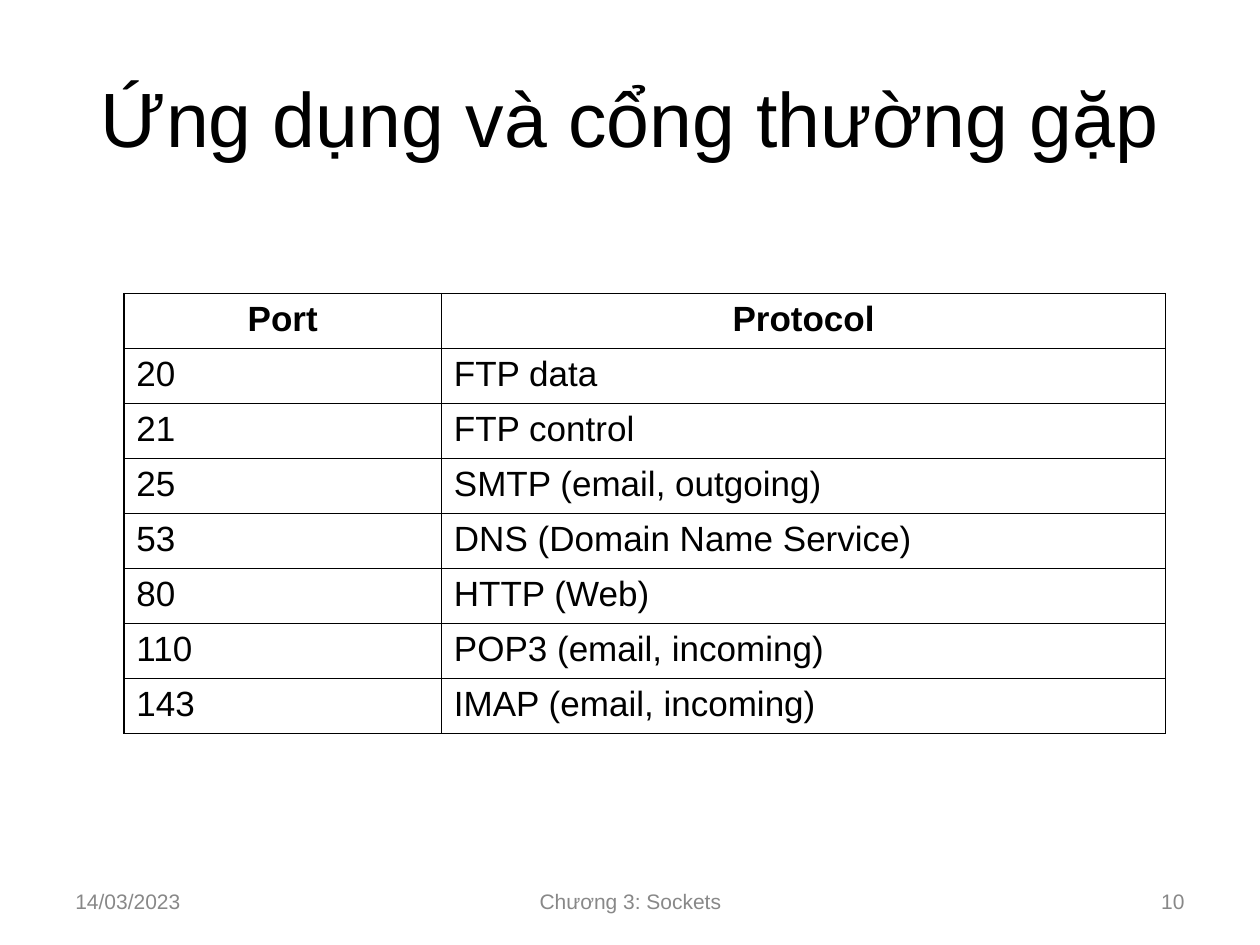
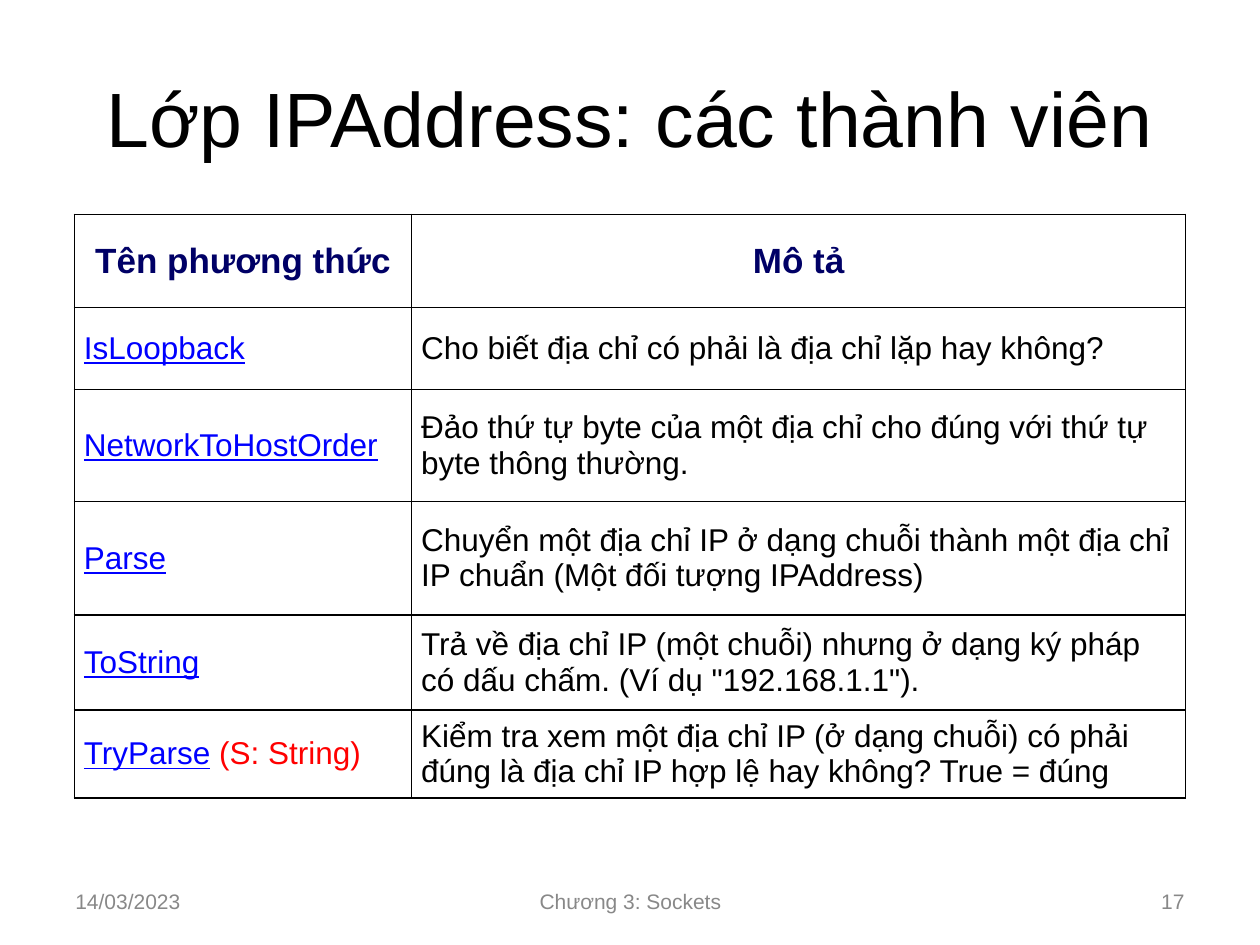
"""Builds two table slides about network ports and the IPAddress class."""
import lxml.etree
import pptx
import pptx.dml.color
import pptx.enum.text
import pptx.oxml.ns
import pptx.util

Cm = pptx.util.Cm
Pt = pptx.util.Pt
ALIGN = pptx.enum.text.PP_ALIGN
MIDDLE = pptx.enum.text.MSO_ANCHOR.MIDDLE
TOP = pptx.enum.text.MSO_ANCHOR.TOP

COLOURS = {"text": "000000", "border": "000000", "cell": "FFFFFF", "footer": "888888",
           "heading": "000066", "method": "0000FF", "argument": "FF0000"}

TITLE = {"size": Pt(44)}
FOOTER = {"size": Pt(12), "colour": "footer"}
PORT_HEADING = {"size": Pt(20), "bold": True}
PORT_BODY = {"size": Pt(20), "bold": False}
METHOD_HEADING = {"size": Pt(20), "bold": True, "colour": "heading"}
METHOD_BODY = {"size": Pt(18), "bold": False}
METHOD_NAME = METHOD_BODY | {"underline": True, "colour": "method"}
METHOD_ARGUMENT = METHOD_BODY | {"colour": "argument"}

BOX_FRAME = {"word_wrap": True, "vertical_anchor": MIDDLE, "margin_left": Cm(0.25),
             "margin_right": Cm(0.25), "margin_top": Cm(0.13), "margin_bottom": Cm(0.13)}
PORT_CELL = {"vertical_anchor": TOP, "margin_left": Cm(0.25), "margin_right": Cm(0.25),
             "margin_top": Cm(0.13), "margin_bottom": Cm(0.13)}
METHOD_CELL = {"vertical_anchor": MIDDLE, "margin_left": Cm(0.19), "margin_right": Cm(0.19),
               "margin_top": 0, "margin_bottom": 0}

PORTS = [("20", "FTP data"), ("21", "FTP control"), ("25", "SMTP (email, outgoing)"),
         ("53", "DNS (Domain Name Service)"), ("80", "HTTP (Web)"),
         ("110", "POP3 (email, incoming)"), ("143", "IMAP (email, incoming)")]

METHODS = [
    ("IsLoopback", "", "Cho biết địa chỉ có phải là địa chỉ lặp hay không?"),
    ("NetworkToHostOrder", "",
     "Đảo thứ tự byte của một địa chỉ cho đúng với thứ tự byte thông thường."),
    ("Parse", "",
     "Chuyển một địa chỉ IP ở dạng chuỗi thành một địa chỉ IP chuẩn (Một đối tượng IPAddress)"),
    ("ToString", "",
     'Trả về địa chỉ IP (một chuỗi) nhưng ở dạng ký pháp có dấu chấm. (Ví dụ "192.168.1.1").'),
    ("TryParse", " (S: String)",
     "Kiểm tra xem một địa chỉ IP (ở dạng chuỗi) có phải đúng là địa chỉ IP hợp lệ "
     "hay không? True = đúng"),
]


def apply_format(target, values):
    """Set every attribute named in values on target."""
    for name, value in values.items():
        setattr(target, name, value)


def write_spans(para, spans, align):
    """Fill a paragraph with (text, format) spans."""
    para.alignment = align
    for text, style in spans:
        span = para.add_run()
        span.text = text
        values = {"name": "Arial", "colour": "text"} | style
        colour = COLOURS[values.pop("colour")]
        apply_format(span.font, values)
        span.font.color.rgb = pptx.dml.color.RGBColor.from_string(colour)


def add_text(page, place, text, style, align):
    """Add a text box at place, given in centimetres."""
    box = page.shapes.add_textbox(*map(Cm, place))
    apply_format(box.text_frame, BOX_FRAME)
    write_spans(box.text_frame.paragraphs[0], [(text, style)], align)


def add_page(deck, title, number):
    """Add a blank page with the shared title and footer."""
    page = deck.slides.add_slide(deck.slide_layouts[6])
    add_text(page, (1.27, 0.76, 22.86, 3.18), title, TITLE, ALIGN.CENTER)
    footers = [(1.27, 5.92, "14/03/2023", ALIGN.LEFT),
               (8.69, 8.04, "Chương 3: Sockets", ALIGN.CENTER),
               (18.21, 5.92, number, ALIGN.RIGHT)]
    for left, width, text, align in footers:
        add_text(page, (left, 17.65, width, 1.02), text, FOOTER, align)
    return page


def draw_borders(cell):
    """Draw a thin solid line on all four sides of a cell."""
    qn = pptx.oxml.ns.qn
    properties = cell._tc.get_or_add_tcPr()
    for side in "LRTB":
        line = lxml.etree.SubElement(properties, qn(f"a:ln{side}"), w=str(Pt(1)))
        fill = lxml.etree.SubElement(line, qn("a:solidFill"))
        lxml.etree.SubElement(fill, qn("a:srgbClr"), val=COLOURS["border"])


def add_grid(page, corner, widths, heights, rows, cell_format):
    """Add a bordered table whose first row is a centred heading."""
    left, top = map(Cm, corner)
    table = page.shapes.add_table(len(rows), len(widths), left, top,
                                  Cm(sum(widths)), Cm(sum(heights))).table
    table.horz_banding = False
    for column, width in zip(table.columns, widths):
        column.width = Cm(width)
    for index, (row, height, contents) in enumerate(zip(table.rows, heights, rows)):
        row.height = Cm(height)
        for cell, spans in zip(row.cells, contents):
            apply_format(cell, cell_format)
            draw_borders(cell)
            cell.fill.solid()
            cell.fill.fore_color.rgb = pptx.dml.color.RGBColor.from_string(COLOURS["cell"])
            align = ALIGN.LEFT if index else ALIGN.CENTER
            write_spans(cell.text_frame.paragraphs[0], spans, align)


def style_row(texts, style):
    """Give each text of a row one span in the same style."""
    return [[(text, style)] for text in texts]


def method_row(name, argument, description):
    """Return the spans of a method's name cell and description cell."""
    name_spans = [(name, METHOD_NAME)]
    if argument:
        name_spans.append((argument, METHOD_ARGUMENT))
    return [name_spans, [(description, METHOD_BODY)]]


def main():
    """Build and save the deck."""
    deck = pptx.Presentation()
    apply_format(deck, {"slide_width": Cm(25.4), "slide_height": Cm(19.05)})

    page = add_page(deck, "Ứng dụng và cổng thường gặp", "10")
    rows = [style_row(("Port", "Protocol"), PORT_HEADING)]
    rows += [style_row(port, PORT_BODY) for port in PORTS]
    add_grid(page, (2.5, 5.92), (6.4, 14.6), [1.04] * len(rows), rows, PORT_CELL)

    page = add_page(deck, "Lớp IPAddress: các thành viên", "17")
    rows = [style_row(("Tên phương thức", "Mô tả"), METHOD_HEADING)]
    rows += [method_row(*method) for method in METHODS]
    add_grid(page, (1.5, 4.32), (6.8, 15.6), (1.88, 1.65, 2.26, 2.29, 1.91, 1.78),
             rows, METHOD_CELL)

    deck.save("out.pptx")


if __name__ == "__main__":
    main()
